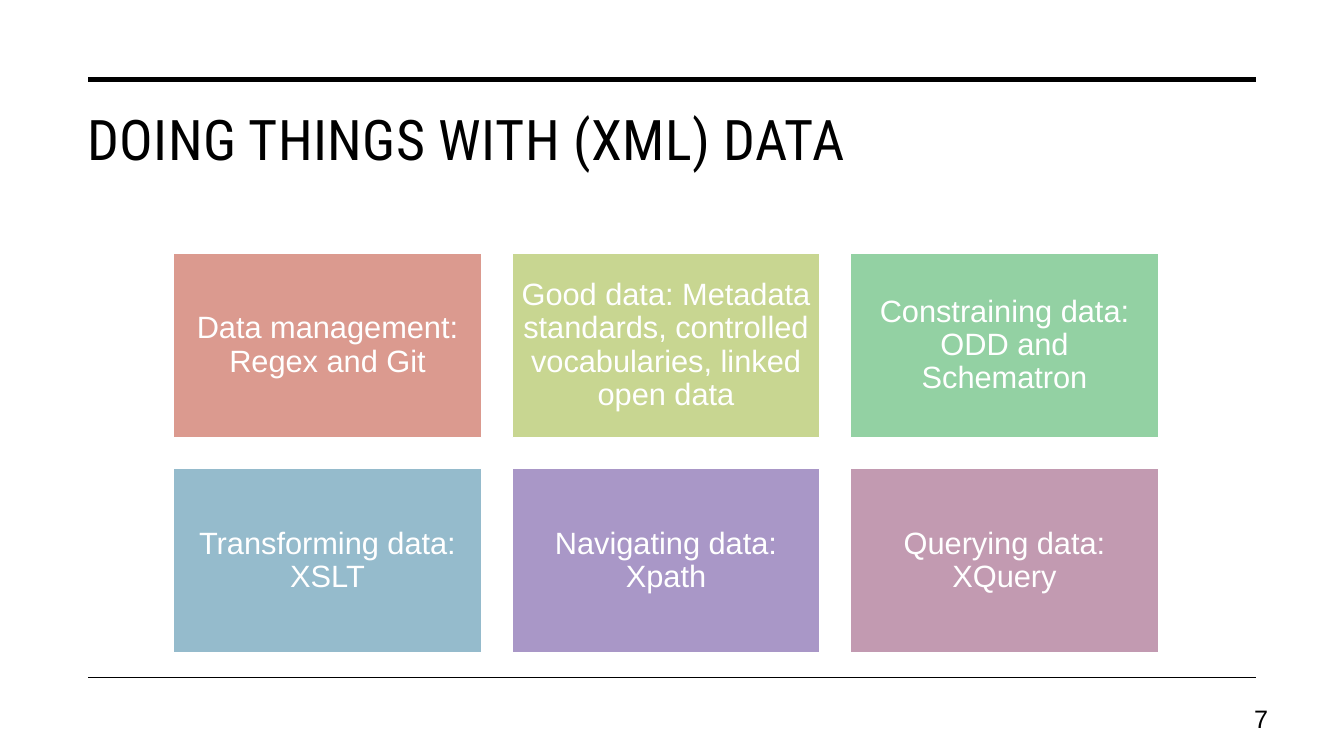
import pptx
import pptx.util
import pptx.dml.color
import pptx.enum.shapes
import pptx.enum.text
import pptx.oxml

Cm = pptx.util.Cm
Pt = pptx.util.Pt
RGBColor = pptx.dml.color.RGBColor
PP_ALIGN = pptx.enum.text.PP_ALIGN
MSO_ANCHOR = pptx.enum.text.MSO_ANCHOR

BLACK = RGBColor(0x00, 0x00, 0x00)
WHITE = RGBColor(0xFF, 0xFF, 0xFF)
CORAL = RGBColor(0xDB, 0x9A, 0x8F)
LIME = RGBColor(0xC8, 0xD6, 0x91)
GREEN = RGBColor(0x93, 0xD1, 0xA3)
BLUE = RGBColor(0x95, 0xBB, 0xCC)
PURPLE = RGBColor(0xA9, 0x97, 0xC7)
MAUVE = RGBColor(0xC2, 0x9A, 0xB1)

TOPICS = [
    ("Data management: Regex and Git", CORAL),
    ("Good data: Metadata standards, controlled vocabularies, linked open data", LIME),
    ("Constraining data: ODD and Schematron", GREEN),
    ("Transforming data: XSLT", BLUE),
    ("Navigating data: Xpath", PURPLE),
    ("Querying data: XQuery", MAUVE),
]
COLUMNS = 3


def write(sp, text, size, font, color, align, anchor, spacing=1.0):
    tf = sp.text_frame
    tf.word_wrap = True
    tf.vertical_anchor = anchor
    p = tf.paragraphs[0]
    r = p.add_run()
    r.text = text
    p.alignment = align
    p.line_spacing = spacing
    p.font.size = Pt(size)
    p.font.name = font
    p.font.color.rgb = color
    return r


def add_rule(slide, left, top, width, weight):
    line = slide.shapes.add_connector(
        pptx.enum.shapes.MSO_CONNECTOR.STRAIGHT, left, top, left + width, top)
    line.line.color.rgb = BLACK
    line.line.width = Pt(weight)
    line._element.spPr.append(pptx.oxml.parse_xml(
        '<a:effectLst xmlns:a="http://schemas.openxmlformats.org/drawingml/2006/main"/>'))


def add_title(slide, left, top, width, height, text):
    sp = slide.shapes.add_textbox(left, top, width, height)
    r = write(sp, text, 40, "Roboto Condensed", BLACK, PP_ALIGN.LEFT, MSO_ANCHOR.TOP)
    r.font._element.set("spc", "30")


def add_page_number(slide, left, top, width, height, number):
    sp = slide.shapes.add_textbox(left, top, width, height)
    write(sp, number, 18, "Arial", BLACK, PP_ALIGN.RIGHT, MSO_ANCHOR.MIDDLE, 0.9)


def add_topic_grid(slide, left, top, width, height, topics):
    gap = Cm(0.78)
    rows = len(topics) // COLUMNS
    tile_width = (width - gap * (COLUMNS - 1)) // COLUMNS
    tile_height = (height - gap * (rows - 1)) // rows
    for i, (text, color) in enumerate(topics):
        row, column = divmod(i, COLUMNS)
        sp = slide.shapes.add_shape(
            pptx.enum.shapes.MSO_SHAPE.RECTANGLE,
            left + column * (tile_width + gap), top + row * (tile_height + gap),
            tile_width, tile_height)
        sp.shadow.inherit = False
        sp.fill.solid()
        sp.fill.fore_color.rgb = color
        sp.line.color.rgb = WHITE
        sp.line.width = Pt(1)
        tf = sp.text_frame
        tf.margin_left = tf.margin_right = tf.margin_top = tf.margin_bottom = Cm(0.22)
        write(sp, text, 22, "Arial", WHITE, PP_ALIGN.CENTER, MSO_ANCHOR.MIDDLE, 0.9)


def main():
    prs = pptx.Presentation()
    prs.slide_width = Cm(33.87)
    prs.slide_height = Cm(19.05)
    slide = prs.slides.add_slide(prs.slide_layouts[6])
    add_title(slide, Cm(1.96), Cm(2.51), Cm(29.7), Cm(3.2), "DOING THINGS WITH (XML) DATA")
    add_rule(slide, Cm(2.23), Cm(2.01), Cm(29.42), 3.5)
    add_rule(slide, Cm(2.23), Cm(17.07), Cm(29.42), 1)
    add_page_number(slide, Cm(30.33), Cm(17.65), Cm(1.88), Cm(1.02), "7")
    add_topic_grid(slide, Cm(4.38), Cm(6.38), Cm(24.81), Cm(10.08), TOPICS)
    prs.save("out.pptx")


if __name__ == "__main__":
    main()
